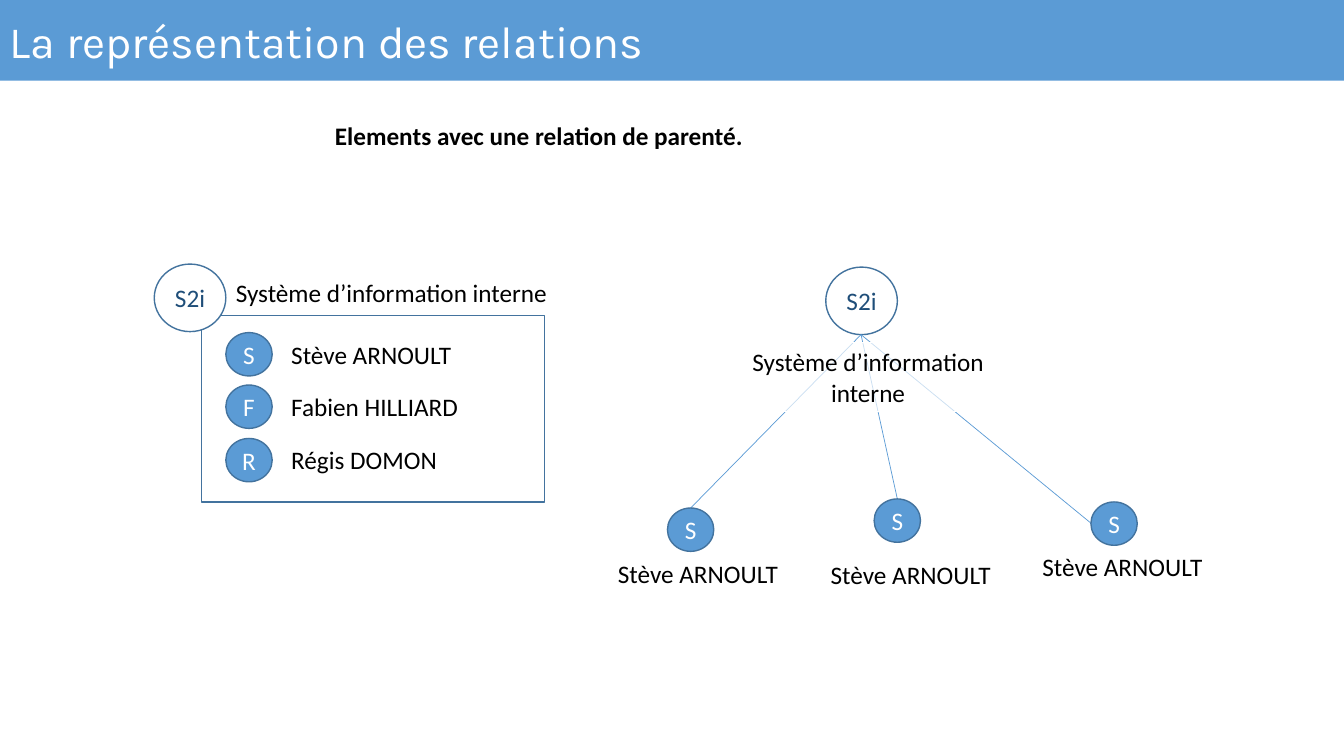
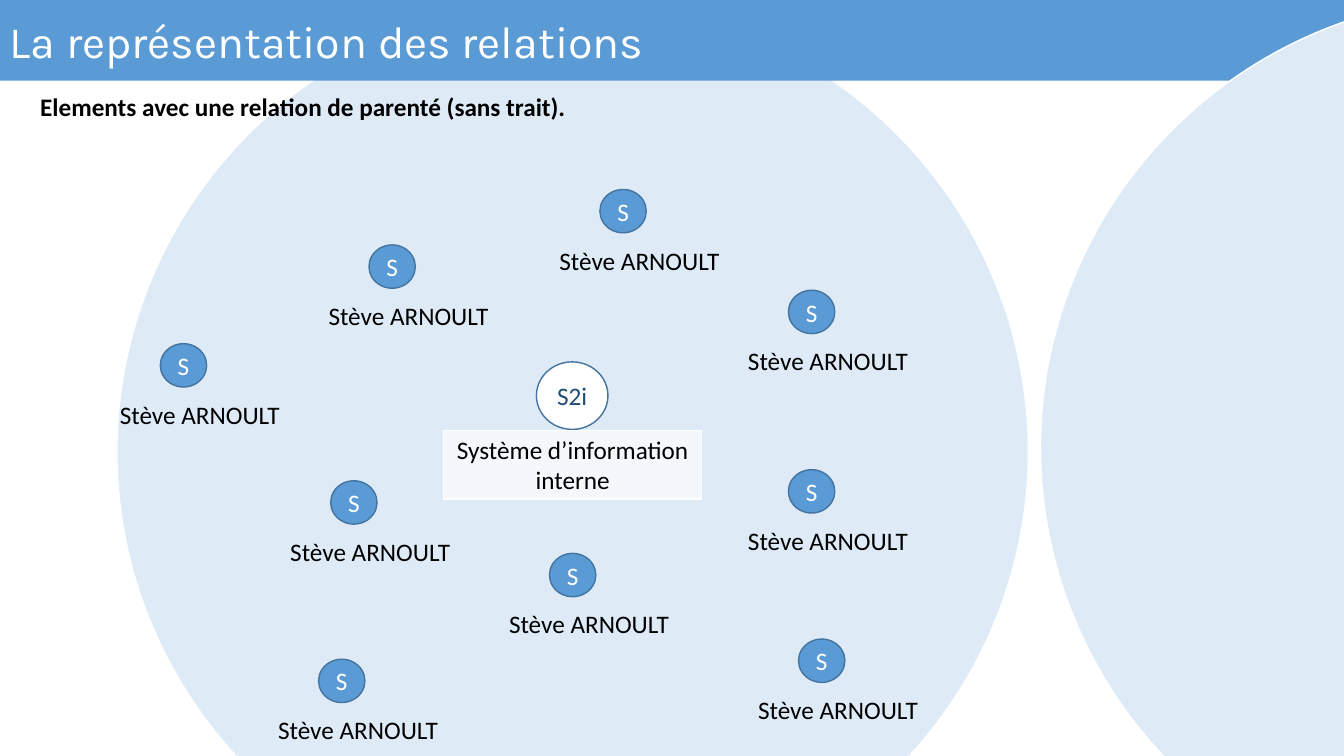
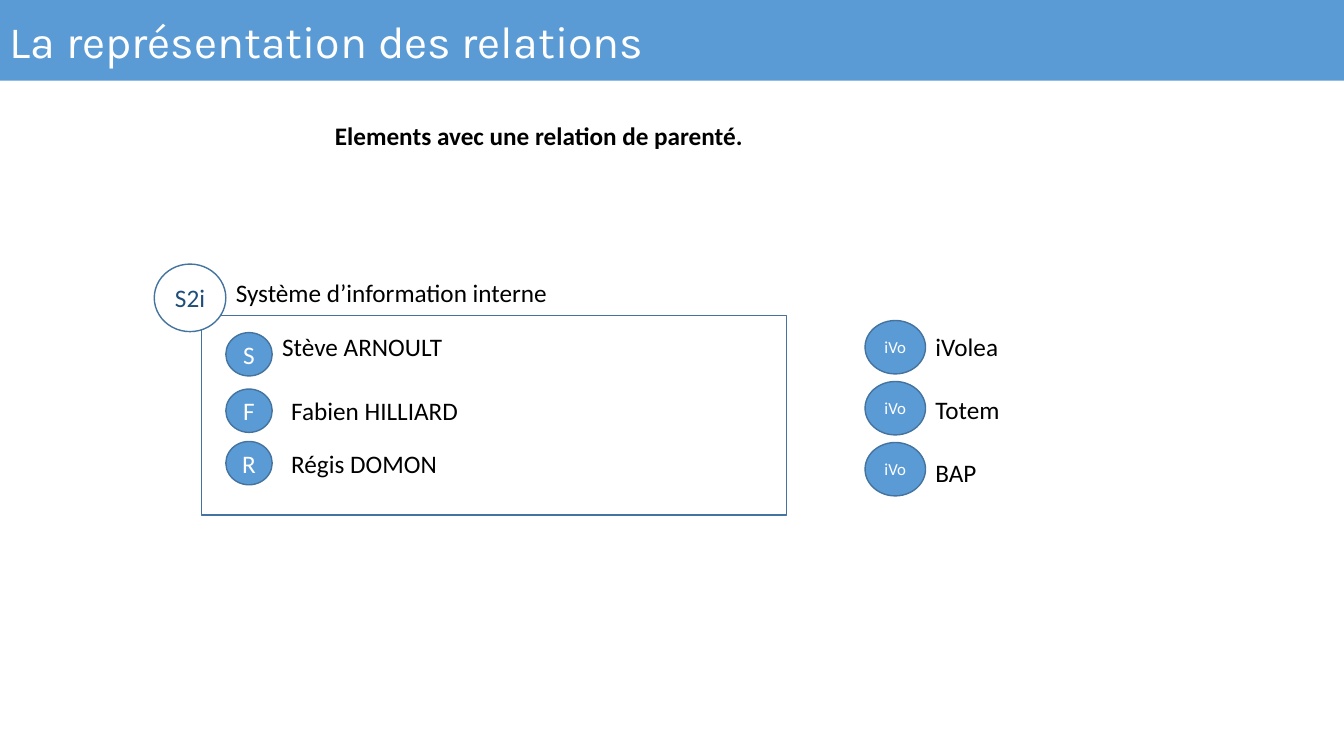
"""Build three slides on drawing parent relations."""
from lxml.etree import SubElement
from pptx import Presentation
from pptx.dml.color import RGBColor
from pptx.enum.shapes import MSO_CONNECTOR, MSO_SHAPE
from pptx.enum.text import MSO_ANCHOR, MSO_AUTO_SIZE, PP_ALIGN
from pptx.oxml.ns import qn
from pptx.util import Inches, Pt

BLUE = RGBColor(0x5B, 0x9B, 0xD5)
EDGE = RGBColor(0x43, 0x73, 0x9E)
NAVY = RGBColor(0x1F, 0x4E, 0x79)
PALE = RGBColor(0xDE, 0xEB, 0xF7)
WHITE = RGBColor(0xFF, 0xFF, 0xFF)
BLACK = RGBColor(0x00, 0x00, 0x00)

WIDTH, HEIGHT = 13.33, 7.5
TEAM = "Système d’information interne"
PERSON = "Stève ARNOULT"
PARENT = "Elements avec une relation de parenté."


def write(shape, text, size=18, color=BLACK, font="Calibri", bold=False,
          align=PP_ALIGN.CENTER, wrap=True):
    frame = shape.text_frame
    frame.word_wrap = wrap
    para = frame.paragraphs[0]
    para.text = text
    para.alignment = align
    para.font.name = font
    para.font.size = Pt(size)
    para.font.bold = bold
    para.font.color.rgb = color


def draw(shapes, kind, x, y, w, h, fill=None, edge=None):
    shape = shapes.add_shape(kind, Inches(x), Inches(y), Inches(w), Inches(h))
    shape.shadow.inherit = False
    shape.text_frame.vertical_anchor = MSO_ANCHOR.MIDDLE
    if fill is None:
        shape.fill.background()
    else:
        shape.fill.solid()
        shape.fill.fore_color.rgb = fill
    if edge is None:
        shape.line.fill.background()
    else:
        shape.line.color.rgb = edge
        shape.line.width = Pt(1)
    return shape


def label(shapes, x, y, text, w=2.15, bold=False, align=PP_ALIGN.LEFT):
    box = shapes.add_textbox(Inches(x), Inches(y), Inches(w), Inches(0.4))
    write(box, text, bold=bold, align=align)
    box.text_frame.auto_size = MSO_AUTO_SIZE.SHAPE_TO_FIT_TEXT


def badge(shapes, x, y, text, w=0.46, h=0.43, size=18, fill=BLUE, color=WHITE):
    disc = draw(shapes, MSO_SHAPE.OVAL, x, y, w, h, fill, EDGE)
    write(disc, text, size, color, wrap=False)


def root(shapes, x, y):
    badge(shapes, x, y, "S2i", 0.71, 0.67, fill=WHITE, color=NAVY)


def veil(shapes, x, y):
    box = draw(shapes, MSO_SHAPE.RECTANGLE, x, y, 2.56, 0.68, WHITE, WHITE)
    tint = box.element.spPr.find(qn("a:solidFill"))[0]
    SubElement(tint, qn("a:alpha"), val="68000")
    write(box, TEAM)


def link(shapes, start, end):
    points = [Inches(v) for v in (*start, *end)]
    line = shapes.add_connector(MSO_CONNECTOR.STRAIGHT, *points)
    line.line.color.rgb = BLUE
    line.line.width = Pt(0.5)
    SubElement(line.element.spPr, qn("a:effectLst"))


def zone(shapes, x, y):
    draw(shapes, MSO_SHAPE.OVAL, x, y, 9.04, 8.96, PALE, WHITE)


def banner(shapes):
    band = draw(shapes, MSO_SHAPE.RECTANGLE, 0, 0, WIDTH, 0.8, BLUE)
    write(band, "La représentation des relations", 32, WHITE, "Karla",
          align=PP_ALIGN.LEFT)


def heading(shapes, x, y, w, text):
    label(shapes, x, y, text, w, True, PP_ALIGN.CENTER)


def panel(shapes, w, h, rows):
    draw(shapes, MSO_SHAPE.RECTANGLE, 2, 3.13, w, h, edge=EDGE)
    root(shapes, 1.53, 2.62)
    label(shapes, 2.24, 2.7, TEAM, 3.68)
    for name, top, left, text_top in rows:
        badge(shapes, 2.24, top, name[0])
        label(shapes, left, text_top, name)


def tree(shapes):
    banner(shapes)
    heading(shapes, 3.15, 1.14, 4.39, PARENT)
    panel(shapes, 3.4, 1.85, [
        (PERSON, 3.3, 2.79, 3.32),
        ("Fabien HILLIARD", 3.82, 2.79, 3.83),
        ("Régis DOMON", 4.35, 2.79, 4.36),
    ])
    root(shapes, 8.19, 2.65)
    for end in [(6.85, 5.04), (8.9, 4.95), (10.82, 5.19)]:
        link(shapes, (8.54, 3.32), end)
    veil(shapes, 7.33, 3.4)
    for x, y, left, top in [(6.62, 5.04, 6.03, 5.49),
                            (8.67, 4.95, 8.14, 5.5),
                            (10.82, 4.98, 10.24, 5.42)]:
        badge(shapes, x, y, "S")
        label(shapes, left, top, PERSON)


def cloud(shapes):
    zone(shapes, 1.16, 0)
    banner(shapes)
    heading(shapes, -0.4, 0.86, 6.81,
            "Elements avec une relation de parenté (sans trait).")
    root(shapes, 5.32, 3.59)
    veil(shapes, 4.4, 4.27)
    for x, y in [(7.82, 4.66), (7.82, 2.88), (5.45, 5.49),
                 (3.28, 4.77), (3.66, 2.43), (5.95, 1.88),
                 (3.16, 6.54), (1.59, 3.41), (7.92, 6.34)]:
        group = shapes.add_group_shape().shapes
        badge(group, x, y, "S")
        label(group, x - 0.5, y + 0.5, PERSON)
    zone(shapes, 10.32, -0.04)


def tools(shapes):
    banner(shapes)
    heading(shapes, 3.15, 1.14, 4.39, PARENT)
    panel(shapes, 5.8, 1.98, [
        (PERSON, 3.3, 2.7, 3.24),
        ("Fabien HILLIARD", 3.86, 2.79, 3.87),
        ("Régis DOMON", 4.38, 2.79, 4.4),
    ])
    for row, name in enumerate(["iVolea", "Totem", "BAP"]):
        label(shapes, 9.18, 3.24 + 0.625 * row, name, 1.2)
        badge(shapes, 8.58, 3.18 + 0.605 * row, "iVo", 0.6, 0.53, 12)


def main():
    deck = Presentation()
    deck.slide_width = Inches(WIDTH)
    deck.slide_height = Inches(HEIGHT)
    for build in (tree, cloud, tools):
        build(deck.slides.add_slide(deck.slide_layouts[6]).shapes)
    deck.save("out.pptx")


if __name__ == "__main__":
    main()
